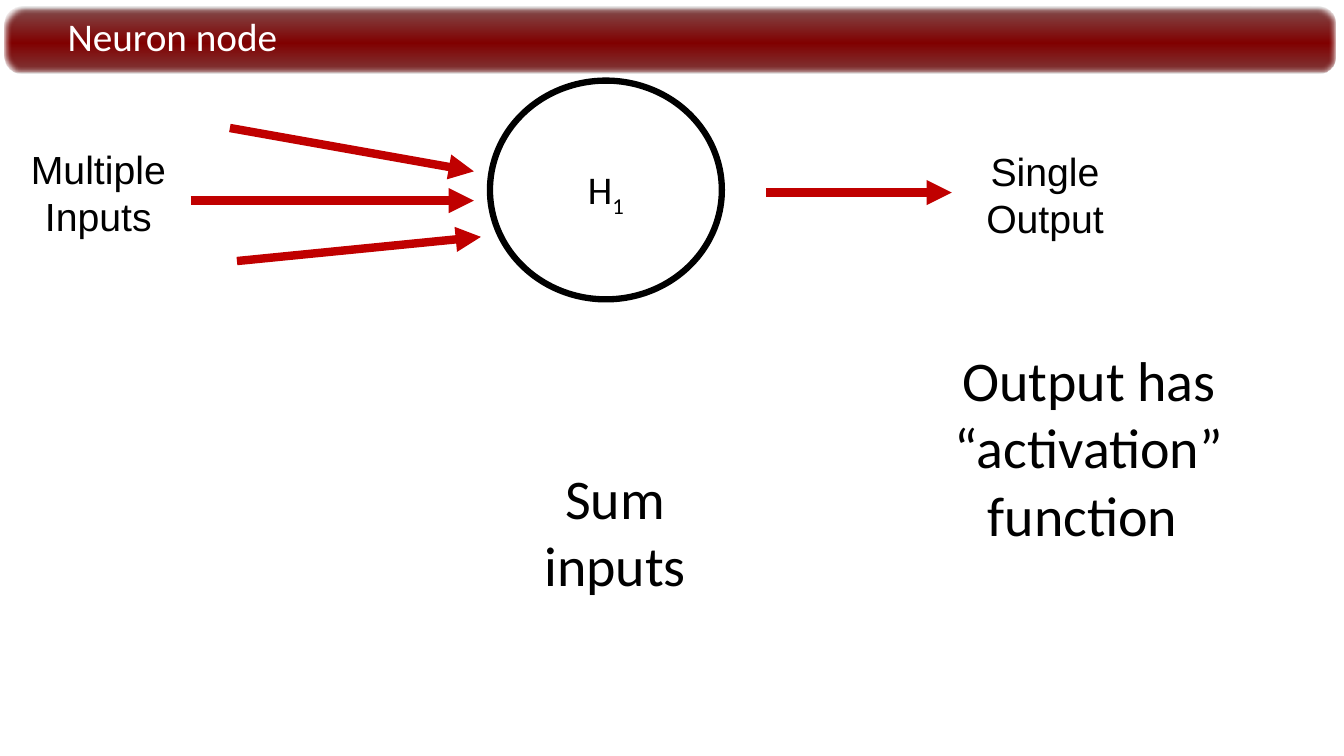
from lxml.etree import SubElement
from pptx import Presentation
from pptx.dml.color import RGBColor
from pptx.enum.shapes import MSO_CONNECTOR, MSO_SHAPE
from pptx.enum.text import MSO_ANCHOR, MSO_AUTO_SIZE, PP_ALIGN
from pptx.oxml.ns import qn
from pptx.util import Inches, Pt

COLORS = {"text": "000000", "title": "FFFFFF", "node": "FFFFFF", "arrow": "C00000"}
# Position in percent, colour, opacity in percent
BAR_STOPS = [(0, "808080", 50), (5, "814949", 100), (54, "800000", 100),
             (96, "7F3838", 100), (100, "808080", 50)]


def color(name):
    return RGBColor.from_string(COLORS[name])


def add_span(para, text, size, font="Calibri", tone="text"):
    span = para.add_run()
    span.text = text
    span.font.size = Pt(size)
    span.font.name = font
    span.font.color.rgb = color(tone)
    return span


def add_title_bar(page, left, top, width, height):
    bar = page.shapes.add_shape(MSO_SHAPE.ROUNDED_RECTANGLE, Inches(left), Inches(top),
                                Inches(width), Inches(height))
    bar.adjustments[0] = 0.27
    bar.line.fill.background()
    bar.fill.gradient()
    bar.fill.gradient_angle = 270
    # Replace the default gradient stops
    properties = bar._element.spPr
    stops = properties.find(qn("a:gradFill")).find(qn("a:gsLst"))
    for stop in list(stops):
        stops.remove(stop)
    for position, tone, opacity in BAR_STOPS:
        stop = SubElement(stops, qn("a:gs"), pos=str(position * 1000))
        shade = SubElement(stop, qn("a:srgbClr"), val=tone)
        if opacity < 100:
            SubElement(shade, qn("a:alpha"), val=str(opacity * 1000))
    # Soft edge in place of a shadow
    effects = SubElement(properties, qn("a:effectLst"))
    SubElement(effects, qn("a:softEdge"), rad=str(Pt(2.5)))


def add_title(page, text, left, top, width, height):
    box = page.shapes.add_textbox(Inches(left), Inches(top), Inches(width), Inches(height))
    frame = box.text_frame
    frame.word_wrap = True
    frame.vertical_anchor = MSO_ANCHOR.MIDDLE
    frame.margin_left = frame.margin_top = frame.margin_right = frame.margin_bottom = 0
    para = frame.paragraphs[0]
    para.line_spacing = 0.9
    add_span(para, text, 28, tone="title")


def add_neuron(page, letter, index, left, top, width, height):
    neuron = page.shapes.add_shape(MSO_SHAPE.OVAL, Inches(left), Inches(top),
                                   Inches(width), Inches(height))
    neuron.shadow.inherit = False
    neuron.fill.solid()
    neuron.fill.fore_color.rgb = color("node")
    neuron.line.color.rgb = color("text")
    neuron.line.width = Pt(4.5)
    neuron.text_frame.vertical_anchor = MSO_ANCHOR.MIDDLE
    para = neuron.text_frame.paragraphs[0]
    para.alignment = PP_ALIGN.CENTER
    para.line_spacing = 0.9
    add_span(para, letter, 28)
    subscript = add_span(para, index, 28)
    subscript.font._element.set("baseline", "-25000")


def add_arrow(page, *ends):
    arrow = page.shapes.add_connector(MSO_CONNECTOR.STRAIGHT, *map(Inches, ends))
    arrow.line.color.rgb = color("arrow")
    arrow.line.width = Pt(6)
    SubElement(arrow.line._get_or_add_ln(), qn("a:tailEnd"), type="triangle")
    SubElement(arrow._element.spPr, qn("a:effectLst"))


def add_label(page, text, size, font, left, top, width, height):
    box = page.shapes.add_textbox(Inches(left), Inches(top), Inches(width), Inches(height))
    box.text_frame.word_wrap = True
    box.text_frame.auto_size = MSO_AUTO_SIZE.SHAPE_TO_FIT_TEXT
    para = box.text_frame.paragraphs[0]
    para.alignment = PP_ALIGN.CENTER
    add_span(para, text, size, font)


def main():
    deck = Presentation()
    deck.slide_width, deck.slide_height = Inches(13.33), Inches(7.5)
    page = deck.slides.add_slide(deck.slide_layouts[6])

    # Title
    add_title_bar(page, 0.05, 0.07, 13.2, 0.66)
    add_title(page, "Neuron node", 0.67, 0.11, 12.43, 0.55)

    # Neuron with three inputs and one output
    add_neuron(page, "H", "1", 4.86, 0.8, 2.3, 2.17)
    for ends in [(1.89, 1.99, 4.7, 1.99), (2.35, 2.59, 4.77, 2.35),
                 (2.28, 1.27, 4.7, 1.7), (7.6, 1.91, 9.44, 1.91)]:
        add_arrow(page, *ends)

    # Labels beside the arrows
    add_label(page, "Multiple Inputs", 28, "Arial", 0.17, 1.39, 1.61, 1.04)
    add_label(page, "Single Output", 28, "Arial", 9.56, 1.41, 1.61, 1.04)

    # Explanations below
    add_label(page, "Sum inputs", 40, "Calibri", 5.03, 4.55, 2.14, 1.45)
    add_label(page, "Output has “activation” function ", 40, "Calibri", 8.73, 3.38, 4.14, 2.12)

    deck.save("out.pptx")


if __name__ == "__main__":
    main()
